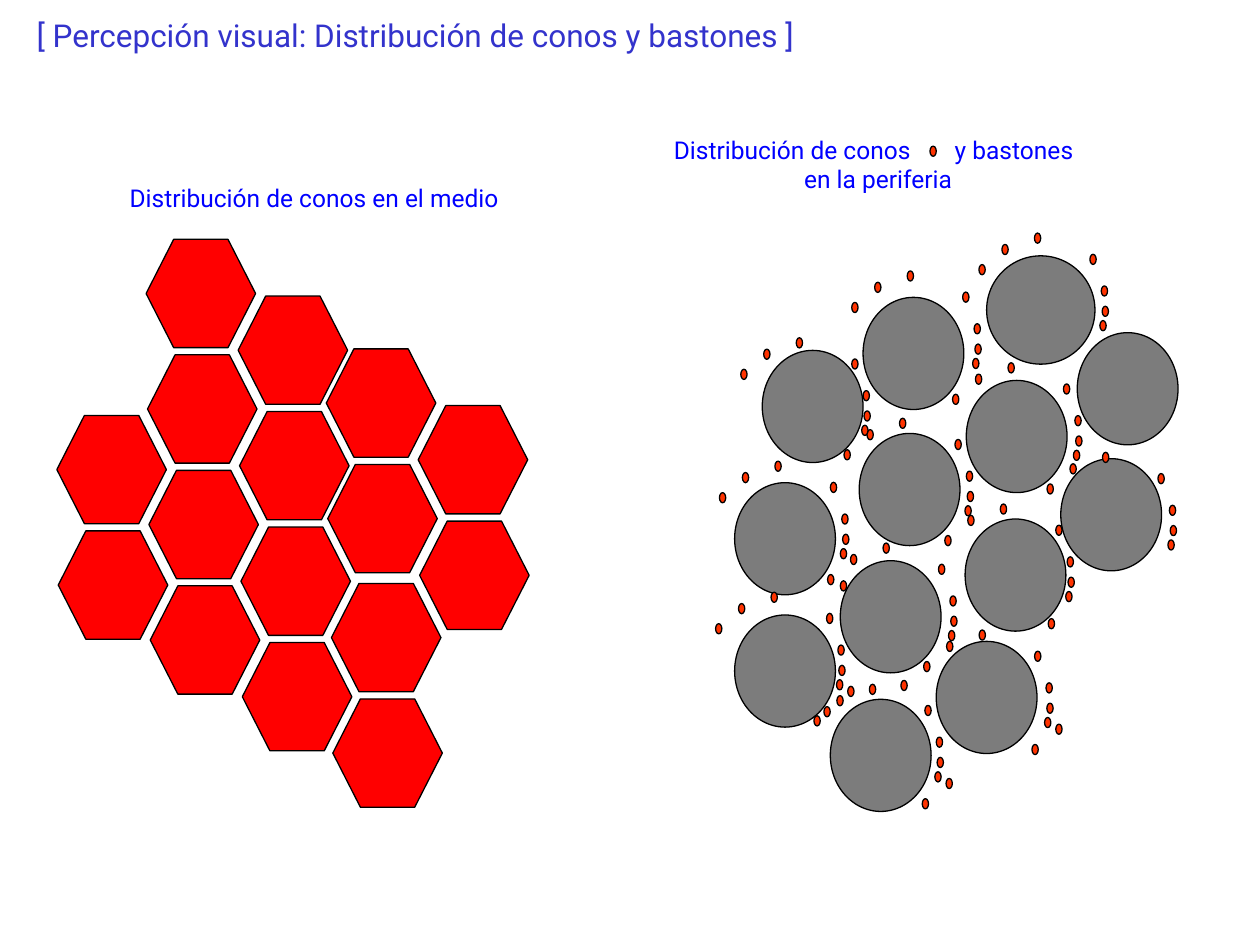
from pptx import Presentation
from pptx.dml.color import RGBColor
from pptx.enum.shapes import MSO_SHAPE
from pptx.enum.text import MSO_ANCHOR, MSO_AUTO_SIZE, PP_ALIGN
from pptx.oxml.ns import qn
from pptx.util import Pt
from lxml import etree

HEXAGON, OVAL = MSO_SHAPE.HEXAGON, MSO_SHAPE.OVAL
LEFT, CENTER = PP_ALIGN.LEFT, PP_ALIGN.CENTER
TITLE_ONLY = 5

HEXAGON_SIZE = (62.6, 61.9)
HEXAGON_STEP = (0.8, 66)
# left and top of the first hexagon, number of hexagons
HEXAGON_COLUMNS = [
    (32.5, 237.4, 2), (83.5, 136.8, 4), (136.1, 169.2, 4),
    (186.5, 199.4, 2), (189.4, 333.4, 2), (239, 231.8, 2),
]

DISC_SIZE = (57.6, 64.1)
DISCS = [
    (435.6, 200.2), (493.2, 169.9), (491, 247.7), (552.2, 217.4),
    (551.5, 296.6), (606.2, 262.1), (615.6, 190.1), (480.2, 320.4),
    (419.8, 275.8), (419.8, 351.4), (474.5, 399.6), (535, 366.5),
]
LARGE_DISC = (563.8, 146.2)
LARGE_DISC_SIZE = (61.9, 61.9)

DOT_SIZE = (3.6, 5.8)
# offsets from the topmost dot of each arc around a disc
ARC = [(37.4, 50), (38.7, 41.8), (38.2, 30.2), (31.7, 12.1),
       (0, 0), (-18.6, 6.5), (-31.7, 18)]
LONG_ARC = ARC + [(43.8, 53.8), (30.2, 65.4)]
ARC_TOPS = [
    (576, 207.3), (504.6, 310.3), (514, 239), (571.6, 288), (591.1, 133.2),
    (518.4, 154.8), (455, 193), (442.8, 263.5), (630, 258.5),
]
LONG_ARC_TOPS = [(440.6, 338.4), (559.5, 360), (496.8, 391)]
SINGLE_DOTS = [(480.2, 331.9), (599, 353.5), (514.8, 388.8)]
LEGEND_DOT = (531.4, 83.5)


def color(value):
    return RGBColor.from_string(value)


class SlideBuilder:
    font_name = "Roboto"
    title_color = "3333CC"
    label_color = "0000FF"
    line_color = "000000"
    line_width = 0.75

    def __init__(self, deck):
        self.page = deck.slides.add_slide(deck.slide_layouts[TITLE_ONLY])

    def format_text(self, box, size, text_color, alignments):
        frame = box.text_frame
        frame.word_wrap = True
        frame.auto_size = MSO_AUTO_SIZE.SHAPE_TO_FIT_TEXT
        frame.vertical_anchor = MSO_ANCHOR.TOP
        for para, alignment in zip(frame.paragraphs, alignments):
            para.alignment = alignment
            para.font.name = self.font_name
            para.font.size = Pt(size)
            para.font.color.rgb = color(text_color)

    def title(self, text, left, top, width, height):
        box = self.page.shapes.title
        box.left, box.top, box.width, box.height = map(
            Pt, (left, top, width, height))
        box.fill.solid()
        box.fill.fore_color.rgb = color("FFFFFF")
        box.text_frame.text = text
        self.format_text(box, 18, self.title_color, [LEFT])

    def label(self, text, left, top, width, height, alignments, tab=None):
        """Add a label; tab is a tab stop in its first paragraph."""
        box = self.page.shapes.add_textbox(*map(Pt, (left, top, width, height)))
        box.text_frame.text = text
        if tab:
            properties = box.text_frame.paragraphs[0]._p.get_or_add_pPr()
            stops = etree.SubElement(properties, qn("a:tabLst"))
            etree.SubElement(stops, qn("a:tab"), pos=str(Pt(tab)), algn="l")
        self.format_text(box, 14, self.label_color, alignments)

    def cell(self, kind, position, size, fill):
        shape = self.page.shapes.add_shape(kind, *map(Pt, position + size))
        shape.shadow.inherit = False
        shape.fill.solid()
        shape.fill.fore_color.rgb = color(fill)
        shape.line.color.rgb = color(self.line_color)
        shape.line.width = Pt(self.line_width)
        return shape

    def hexagon(self, position):
        shape = self.cell(HEXAGON, position, HEXAGON_SIZE, "FF0000")
        shape.adjustments[0] = 0.255

    def disc(self, position, size=DISC_SIZE):
        self.cell(OVAL, position, size, "7C7C7C")

    def dot(self, position):
        self.cell(OVAL, position, DOT_SIZE, "FF3300")

    def arc(self, top_dot, offsets):
        for dx, dy in offsets:
            self.dot((top_dot[0] + dx, top_dot[1] + dy))


def main():
    deck = Presentation()
    deck.slide_width, deck.slide_height = Pt(720), Pt(540)
    slide = SlideBuilder(deck)
    slide.title("[ Percepción visual: Distribución de conos y bastones ]",
                13.7, 5.8, 452.9, 28.8)

    for left, top, count in HEXAGON_COLUMNS:
        for row in range(count):
            slide.hexagon((left + row * HEXAGON_STEP[0],
                           top + row * HEXAGON_STEP[1]))

    for position in DISCS:
        slide.disc(position)
    slide.disc(LARGE_DISC, LARGE_DISC_SIZE)

    for position in ARC_TOPS:
        slide.arc(position, ARC)
    for position in LONG_ARC_TOPS:
        slide.arc(position, LONG_ARC)
    for position in SINGLE_DOTS + [LEGEND_DOT]:
        slide.dot(position)

    slide.label("Distribución de conos en el medio",
                67, 100.8, 234.7, 23.8, [LEFT])
    slide.label("Distribución de conos\ty bastones\nen la periferia",
                378, 73.4, 247.7, 41, [LEFT, CENTER], tab=160.5)
    deck.save("out.pptx")


if __name__ == "__main__":
    main()
